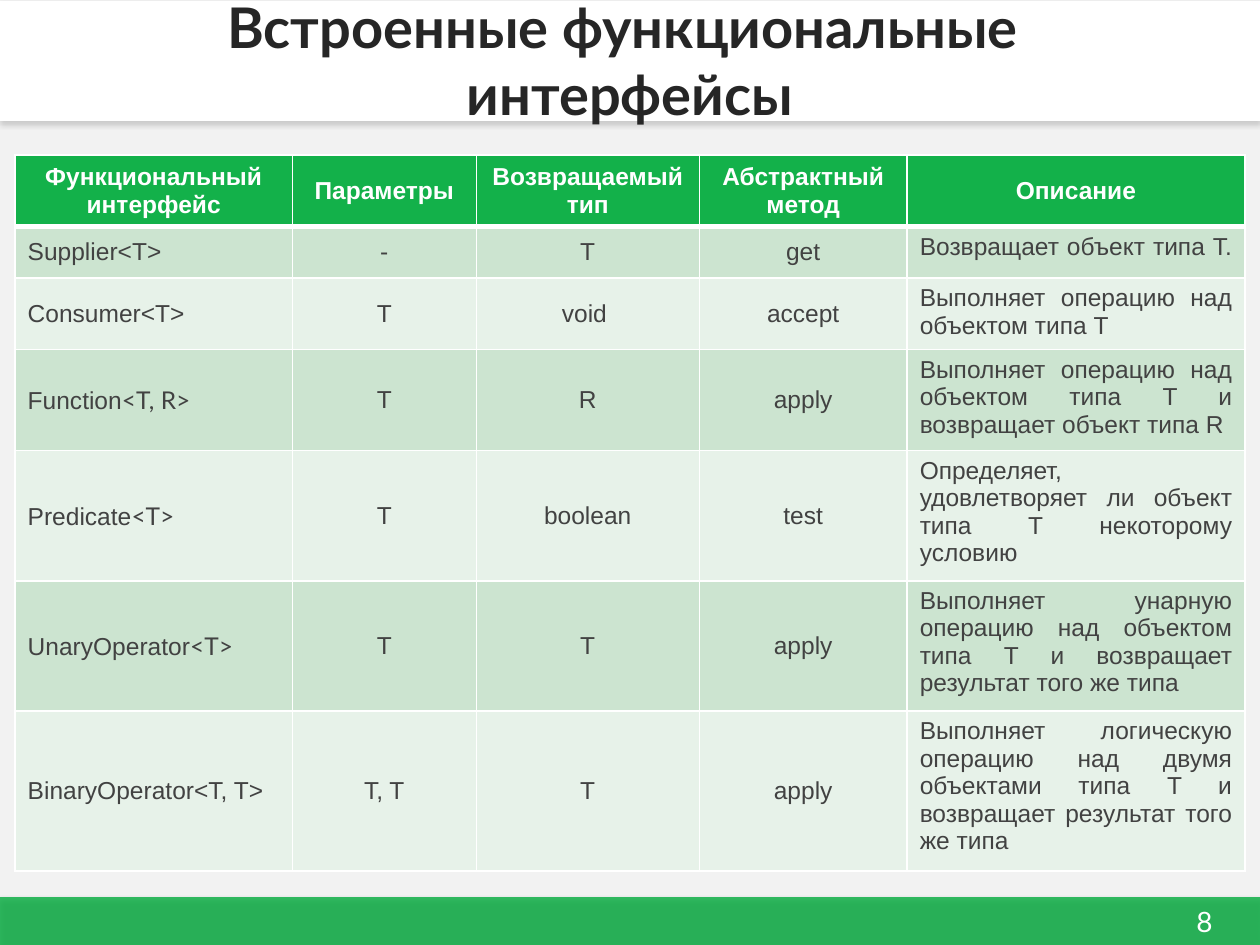
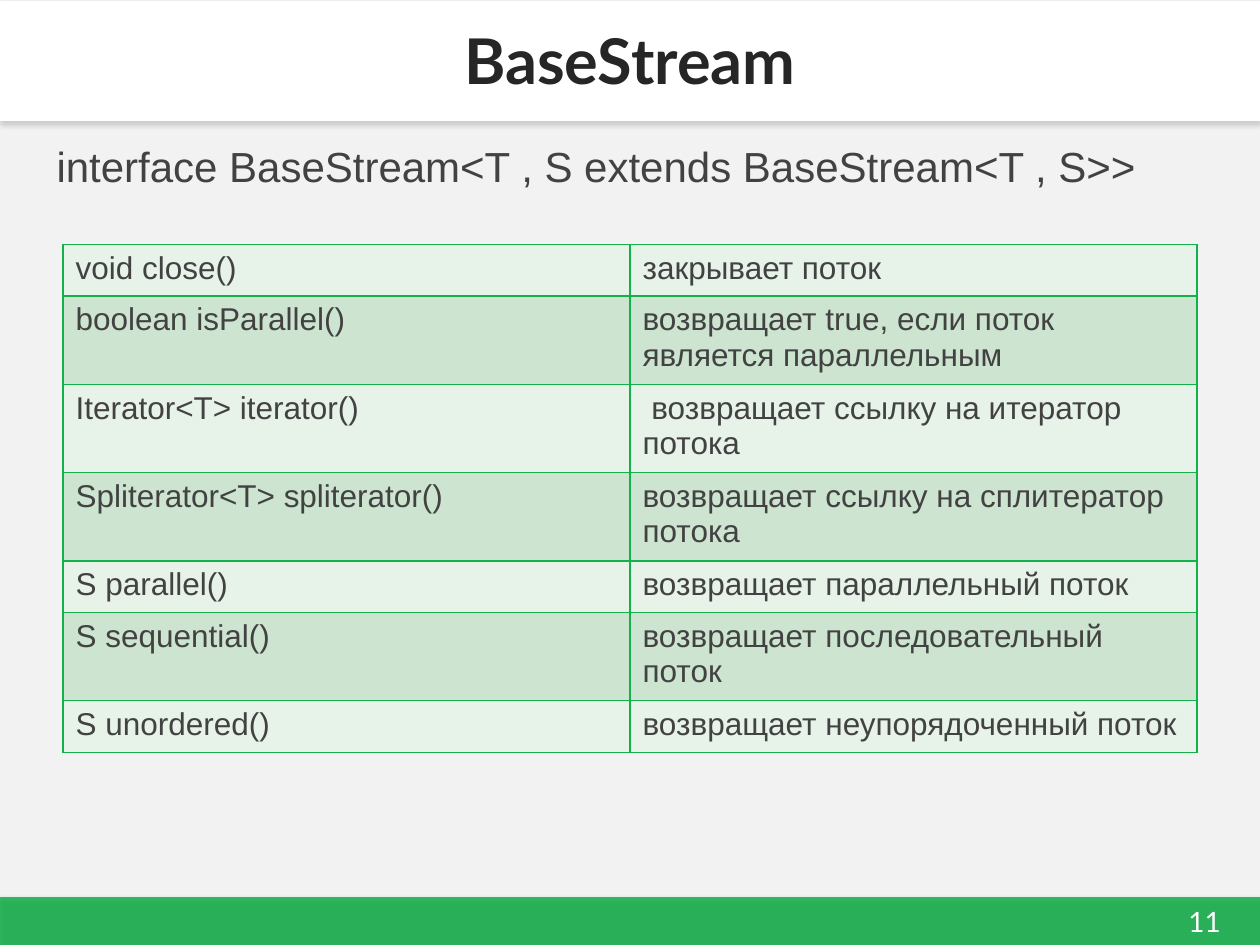
from collections import namedtuple
from dataclasses import dataclass

from lxml.etree import SubElement
from pptx import Presentation
from pptx.dml.color import RGBColor
from pptx.enum.shapes import MSO_SHAPE
from pptx.enum.text import MSO_ANCHOR as Anchor, MSO_AUTO_SIZE as AutoSize, PP_ALIGN as Align
from pptx.oxml.ns import qn
from pptx.util import Inches, Pt

Box = namedtuple("Box", "left top width height")


@dataclass(frozen=True)
class Theme:
    background: str = "F2F2F2"
    green: str = "13B14A"
    dark_row: str = "CCE4D0"
    light_row: str = "E7F2E9"
    white: str = "FFFFFF"
    title_ink: str = "262626"
    ink: str = "424242"
    black: str = "000000"
    grey: str = "808080"
    title_font: str = "Lato"
    body_font: str = "Arial"
    long_title_size: int = 32
    title_size: int = 36
    number_size: int = 16
    signature_size: int = 24
    interface_size: int = 14
    method_size: int = 18


THEME = Theme()
SLIDE = Box(0, 0, 10, 7.5)
TITLE_BAND = Box(0, 0.01, 10, 0.95)
TITLE = Box(0, -0.01, 10, 0.96)
FOOTER = Box(0, 7.12, 10, 0.38)

INTERFACE_HEADER = ("Функциональный интерфейс", "Параметры", "Возвращаемый тип",
                    "Абстрактный метод", "Описание")
# Interface, type parameters set in the title font, then the other columns
INTERFACES = [
    ("Supplier<T>", "", "-", "T", "get", "Возвращает объект типа T. "),
    ("Consumer<T>", "", "T", "void ", "accept", "Выполняет операцию над объектом типа T"),
    ("Function", "<T, R>", "T", "R", "apply",
     "Выполняет операцию над объектом типа T и возвращает объект типа R"),
    ("Predicate", "<T>", "T", "boolean", "test",
     "Определяет, удовлетворяет ли объект типа T некоторому условию"),
    ("UnaryOperator", "<T>", "T", "T", "apply",
     "Выполняет унарную операцию над объектом типа T и возвращает результат того же типа"),
    ("BinaryOperator<T, T>", "", "T, T", "T", "apply",
     "Выполняет логическую операцию над двумя объектами типа T "
     "и возвращает результат того же типа"),
]
STREAM_METHODS = [
    ("void close()", "закрывает поток"),
    ("boolean isParallel()", "возвращает true, если поток является параллельным"),
    ("Iterator<Т> iterator()", " возвращает ссылку на итератор потока"),
    ("Spliterator<Т> spliterator()", "возвращает ссылку на сплитератор потока"),
    ("S parallel()", "возвращает параллельный поток"),
    ("S sequential()", "возвращает последовательный поток"),
    ("S unordered()", "возвращает неупорядоченный поток"),
]


def lengths(box):
    return [Inches(value) for value in box]


def format_paragraph(paragraph, size, color, font=THEME.body_font, bold=False, align=Align.LEFT):
    paragraph.alignment = align
    paragraph.font.size = Pt(size)
    paragraph.font.name = font
    paragraph.font.bold = bold
    paragraph.font.color.rgb = RGBColor.from_string(color)


def add_color(parent, color, alpha=None):
    element = SubElement(parent, qn("a:srgbClr"), val=color)
    if alpha is not None:
        SubElement(element, qn("a:alpha"), val=str(alpha * 1000))


# Shared bands, title and page number
def add_band(slide, box, color, shadow_color, alpha=None):
    band = slide.shapes.add_shape(MSO_SHAPE.RECTANGLE, *lengths(box))
    band.shadow.inherit = False
    band.fill.solid()
    band.fill.fore_color.rgb = RGBColor.from_string(color)
    band.line.fill.background()
    properties = band.element.spPr
    if alpha is not None:
        fill_color = properties.find(qn("a:solidFill")).find(qn("a:srgbClr"))
        SubElement(fill_color, qn("a:alpha"), val=str(alpha * 1000))
    shadow = SubElement(properties.find(qn("a:effectLst")), qn("a:outerShdw"),
                        blurRad=str(Pt(3.1)), dist=str(Pt(1.8)), dir=str(90 * 60000),
                        algn="t", rotWithShape="0")
    add_color(shadow, shadow_color, 35)
    return band


def add_text(slide, box, text, anchor=Anchor.TOP, **style):
    text_box = slide.shapes.add_textbox(*lengths(box))
    frame = text_box.text_frame
    frame.word_wrap = True
    frame.auto_size = AutoSize.SHAPE_TO_FIT_TEXT
    frame.vertical_anchor = anchor
    frame.text = text
    format_paragraph(frame.paragraphs[0], **style)


def add_footer(slide, box, number):
    add_text(slide, Box(box.left + box.width - 0.78, box.top + 0.01, 0.68, 0.37), str(number),
             Anchor.MIDDLE, size=THEME.number_size, color=THEME.white,
             font=THEME.title_font, align=Align.CENTER)


def add_titled_slide(prs, title_text, title_size, number):
    slide = prs.slides.add_slide(prs.slide_layouts[5])
    bands = [add_band(slide, FOOTER, THEME.green, THEME.black, 86),
             add_band(slide, TITLE_BAND, THEME.white, THEME.grey)]
    for band in bands:  # bands go behind the title
        slide.shapes.title.element.addprevious(band.element)

    title = slide.shapes.title
    title.left, title.top, title.width, title.height = lengths(TITLE)
    frame = title.text_frame
    frame.text = title_text
    frame.word_wrap = True
    frame.auto_size = AutoSize.NONE
    frame.vertical_anchor = Anchor.MIDDLE
    format_paragraph(frame.paragraphs[0], title_size, THEME.title_ink,
                     THEME.title_font, True, Align.CENTER)
    add_footer(slide, FOOTER, number)
    return slide


# Tables
def add_grid(slide, box, row_count, column_shares, has_header=False):
    grid = slide.shapes.add_table(row_count, len(column_shares), *lengths(box)).table
    grid.first_row = has_header
    grid.horz_banding = False
    for column, share in zip(grid.columns, column_shares):
        column.width = Inches(box.width * share / sum(column_shares))
    for row in grid.rows:  # rows grow to fit their text
        row.height = Inches(0.41)
    return grid


def set_borders(cell, color, **widths):
    properties = cell._tc.get_or_add_tcPr()
    for index, side in enumerate("LRTB"):
        line = properties.makeelement(qn(f"a:ln{side}"), {"w": str(Pt(widths.get(side, 1)))})
        add_color(SubElement(line, qn("a:solidFill")), color)
        properties.insert(index, line)


def fill_cell(cell, text, fill, anchor=Anchor.TOP, **style):
    cell.text = text
    cell.vertical_anchor = anchor
    cell.fill.solid()
    cell.fill.fore_color.rgb = RGBColor.from_string(fill)
    format_paragraph(cell.text_frame.paragraphs[0], **style)


def add_interface_table(slide, box):
    grid = add_grid(slide, box, len(INTERFACES) + 1, (2.2, 1.46, 1.77, 1.65, 2.68), True)
    for column, heading in enumerate(INTERFACE_HEADER):
        cell = grid.cell(0, column)
        fill_cell(cell, heading, THEME.green, Anchor.MIDDLE, size=THEME.interface_size,
                  color=THEME.white, bold=True, align=Align.CENTER)
        set_borders(cell, THEME.white, B=3)

    aligns = [Align.LEFT] + [Align.CENTER] * 3 + [Align.JUSTIFY]
    for row, (name, type_parameters, *details) in enumerate(INTERFACES, 1):
        fill = THEME.dark_row if row % 2 else THEME.light_row
        for column, text in enumerate((name, *details)):
            cell = grid.cell(row, column)
            anchor = Anchor.TOP if aligns[column] == Align.JUSTIFY else Anchor.MIDDLE
            fill_cell(cell, text, fill, anchor, size=THEME.interface_size,
                      color=THEME.ink, align=aligns[column])
            set_borders(cell, THEME.white, T=3 if row == 1 else 1)
        if type_parameters:
            run = grid.cell(row, 0).text_frame.paragraphs[0].add_run()
            run.text = type_parameters
            run.font.name = THEME.title_font


def add_method_table(slide, box):
    grid = add_grid(slide, box, len(STREAM_METHODS), (1, 1))
    for row, method in enumerate(STREAM_METHODS):
        fill = THEME.dark_row if row % 2 else THEME.light_row
        for column, text in enumerate(method):
            cell = grid.cell(row, column)
            fill_cell(cell, text, fill, size=THEME.method_size, color=THEME.ink)
            set_borders(cell, THEME.green)


# Slides
def build_interfaces_slide(prs):
    slide = add_titled_slide(prs, "Встроенные функциональные \vинтерфейсы",
                             THEME.long_title_size, 8)
    add_interface_table(slide, Box(0.12, 1.23, 9.76, 2.87))


def build_base_stream_slide(prs):
    slide = add_titled_slide(prs, "BaseStream", THEME.title_size, 11)
    add_method_table(slide, Box(0.5, 1.94, 9, 2.87))
    add_text(slide, Box(0.35, 1.07, 8.82, 0.5),
             "interface BaseStream<T , S extends BaseStream<T , S>>",
             size=THEME.signature_size, color=THEME.ink)


def main():
    prs = Presentation()
    prs.slide_width, prs.slide_height = Inches(SLIDE.width), Inches(SLIDE.height)
    background = prs.slide_master.background.fill
    background.solid()
    background.fore_color.rgb = RGBColor.from_string(THEME.background)
    build_interfaces_slide(prs)
    build_base_stream_slide(prs)
    prs.save("out.pptx")


if __name__ == "__main__":
    main()
